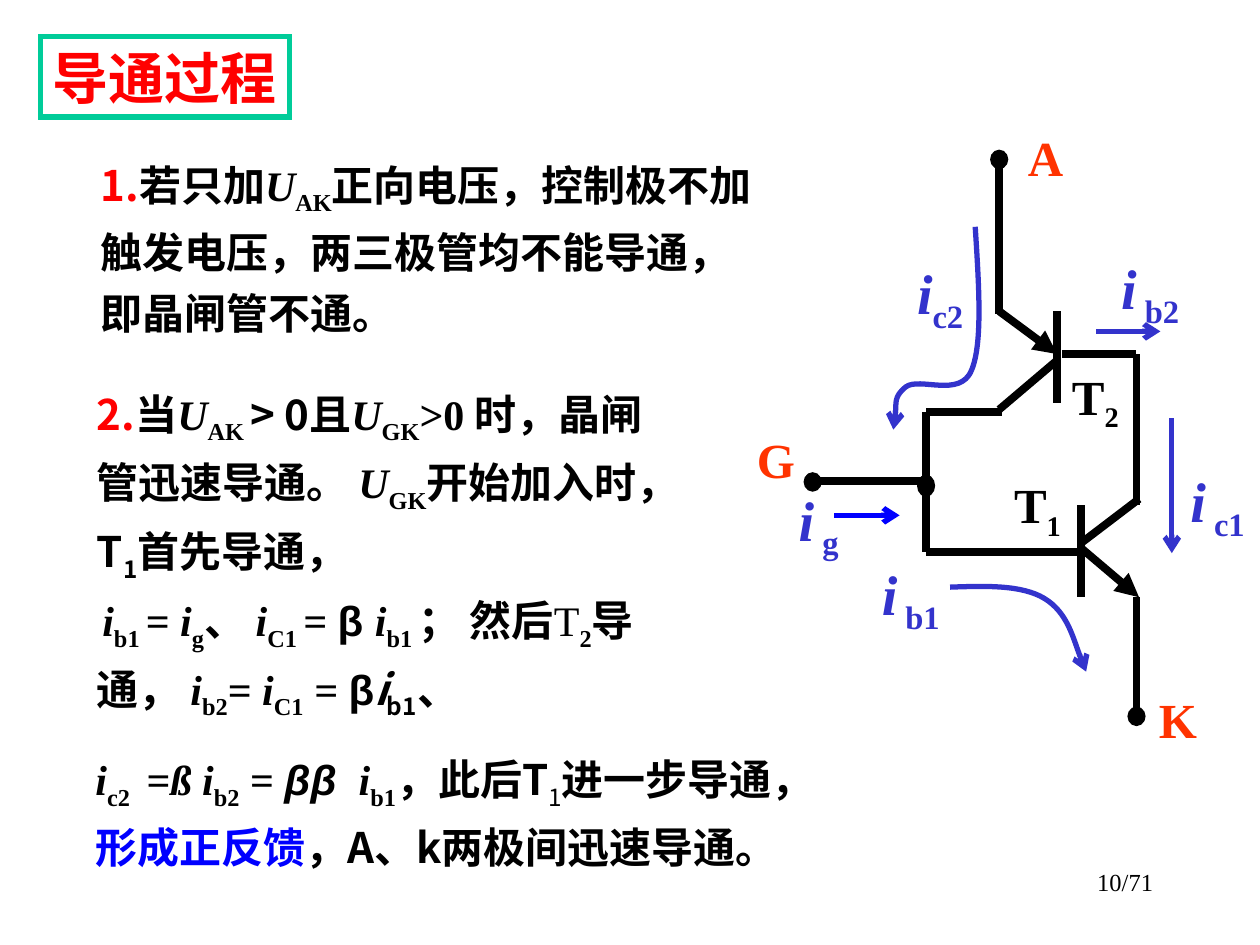
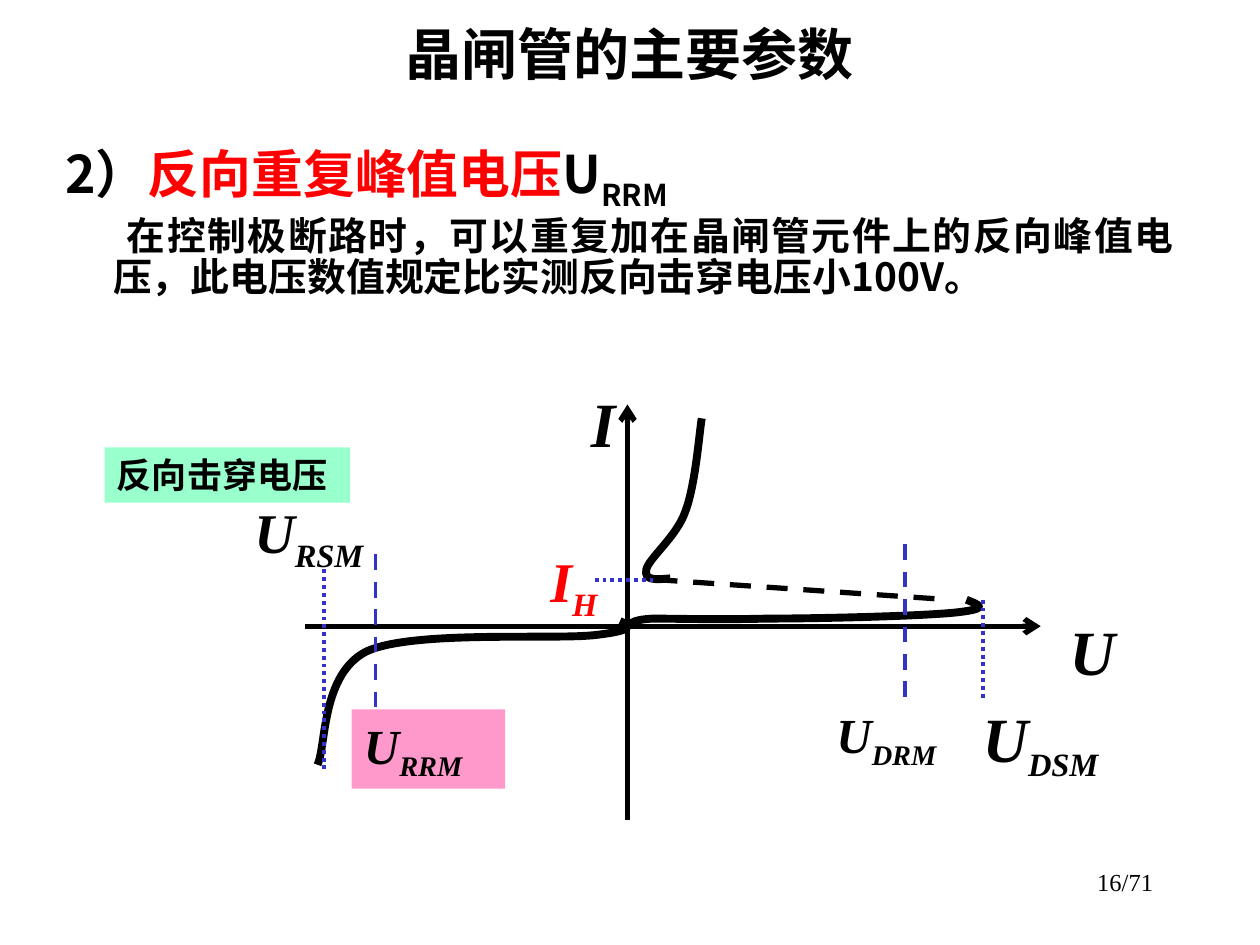
from dataclasses import dataclass, replace

from lxml import etree
from pptx import Presentation
from pptx.dml.color import RGBColor
from pptx.enum.dml import MSO_LINE
from pptx.enum.shapes import MSO_CONNECTOR, MSO_SHAPE
from pptx.enum.text import MSO_ANCHOR, PP_ALIGN
from pptx.oxml.ns import qn
from pptx.util import Inches, Pt

LEFT, CENTER, RIGHT, JUSTIFY = PP_ALIGN.LEFT, PP_ALIGN.CENTER, PP_ALIGN.RIGHT, PP_ALIGN.JUSTIFY
TOP, MIDDLE = MSO_ANCHOR.TOP, MSO_ANCHOR.MIDDLE
DASH, DOT = MSO_LINE.DASH, MSO_LINE.ROUND_DOT
RECT, OVAL, STRAIGHT = MSO_SHAPE.RECTANGLE, MSO_SHAPE.OVAL, MSO_CONNECTOR.STRAIGHT

BLACK = RGBColor(0, 0, 0)
RED = RGBColor(0xFF, 0, 0)
BLUE = RGBColor(0, 0, 0xFF)
ORANGE = RGBColor(0xFF, 0x33, 0)
INDIGO = RGBColor(0x33, 0x33, 0xCC)
GREEN = RGBColor(0, 0xCC, 0x99)
MINT = RGBColor(0x99, 0xFF, 0xCC)
PINK = RGBColor(0xFF, 0x99, 0xCC)

NOTO, TIMES, ARIAL = "Noto Sans CJK SC", "Times New Roman", "Arial"


@dataclass(frozen=True)
class Style:
    font: str = TIMES
    color: RGBColor = BLACK
    bold: bool = True
    italic: bool = False
    sub: bool = False
    size: float = 0  # 0 takes the size of the text box


CN, CN_SUB = Style(NOTO), Style(NOTO, sub=True)
ROMAN, VAR, SUB = Style(), Style(italic=True), Style(sub=True)
VAR_SUB = Style(italic=True, sub=True)
BETA = Style(ARIAL)
NUMBER = Style(NOTO, RED)
TERMINAL = Style(color=ORANGE)
CURRENT, CURRENT_SUB = Style(color=INDIGO, italic=True), Style(color=INDIGO, sub=True)

# Slide 1: turn-on process
STEP_1 = [[("1.", NUMBER), ("若只加", CN), ("U", VAR), ("AK", SUB),
           ("正向电压，控制极不加触发电压，两三极管均不能导通，即晶闸管不通。", CN)]]
STEP_2 = [
    [("2.", NUMBER), ("当", CN), ("U", VAR), ("AK ", SUB), ("> 0且", CN),
     ("U", VAR), ("GK", SUB), (">0 ", ROMAN), ("时，晶闸管迅速导通。 ", CN),
     ("U", VAR), ("GK", SUB), ("开始加入时， T", CN), ("1", CN_SUB), ("首先导通，", CN)],
    [(" ", CN_SUB), ("i", VAR), ("b1 ", SUB), ("= ", ROMAN), ("i", VAR), ("g", SUB),
     ("、 ", ROMAN), ("i", VAR), ("C1 ", SUB), ("= ", VAR), ("β ", BETA),
     ("i", VAR), ("b1 ", SUB), ("； 然后", ROMAN), ("T", Style(bold=False)), ("2", SUB),
     ("导通， ", ROMAN), ("i", VAR), ("b2", SUB), ("= ", ROMAN), ("i", VAR), ("C1", SUB),
     (" = ", VAR), ("β", BETA), ("i", Style(NOTO, italic=True)), ("b1", CN_SUB), ("、", CN)],
]
FEEDBACK = [
    [("i", VAR), ("c2 ", SUB), (" =", ROMAN), ("ß i", VAR), ("b2", SUB), (" = ", ROMAN),
     ("ββ ", Style(ARIAL, italic=True)), (" i", VAR), ("b1", SUB), ("，此后T", CN),
     ("1", Style(NOTO, bold=False, sub=True)), ("进一步导通，", CN)],
    [("形成正反馈", Style(NOTO, BLUE)), ("，A、k两极间迅速导通。", CN)],
]
# paragraphs, box, anchor
STEPS = [
    (STEP_1, (0.7, 1.12, 5.41, 1.61), MIDDLE),
    (STEP_2, (0.67, 2.94, 4.85, 2.83), TOP),
    (FEEDBACK, (0.66, 5.84, 6.0, 1.13), MIDDLE),
]
TERMINALS = [("G", (5.91, 3.36, 0.5, 0.57)), ("K", (9.1, 5.42, 0.5, 0.57)),
             ("A", (8.06, 0.96, 0.48, 0.57))]
TRANSISTORS = [("1", (7.95, 3.72, 0.57, 0.63)), ("2", (8.41, 2.86, 0.57, 0.63))]
CURRENTS = [(" b1", (6.9, 4.39, 0.66, 0.71)), ("c2", (7.18, 2.0, 0.56, 0.71)),
            (" c1", (9.35, 3.65, 0.63, 0.71)), (" g", (6.24, 3.8, 0.51, 0.71)),
            (" b2", (8.8, 1.96, 0.66, 0.71))]
# x, y of both ends
WIRES = [
    (7.95, 3.27, 7.66, 3.27), (8.6, 4.38, 7.35, 4.38), (9.04, 3.96, 8.58, 4.31),
    (8.58, 4.01, 8.58, 4.74), (8.39, 2.47, 8.39, 3.2), (8.39, 2.86, 7.93, 3.25),
    (7.93, 1.24, 7.93, 2.49), (8.43, 2.81, 9.02, 2.81), (9.02, 2.81, 9.02, 4.01),
    (7.85, 3.27, 7.35, 3.27), (7.35, 3.27, 7.35, 4.38), (6.45, 3.82, 7.35, 3.82),
    (9.02, 4.74, 9.02, 5.66),
]
EMITTERS = [(8.58, 4.35, 9.04, 4.74), (7.93, 2.47, 8.39, 2.81)]
NODES = [(7.31, 3.8, 0.08, 0.11), (6.41, 3.78, 0.08, 0.09),
         (7.89, 1.22, 0.08, 0.09), (8.98, 5.64, 0.08, 0.09)]
FLOW_ARROWS = [((9.3, 3.32, 9.3, 4.39), INDIGO), ((6.62, 4.09, 7.14, 4.09), BLUE),
               ((8.7, 2.63, 9.21, 2.63), INDIGO)]
# start point, then two control points and an end point for each Bézier segment
FLOW_CURVES = [
    [(7.54, 4.66), (7.82, 4.65), (8.11, 4.64), (8.29, 4.75),
     (8.47, 4.86), (8.58, 5.25), (8.62, 5.33)],
    [(7.74, 1.8), (7.77, 2.27), (7.8, 2.73), (7.71, 2.94), (7.62, 3.16), (7.3, 2.99),
     (7.19, 3.07), (7.09, 3.15), (7.11, 3.36), (7.09, 3.41)],
]

# Slide 2: main parameters
PARAMETER = [
    [("2）", CN), ("反向重复峰值电压", NUMBER), ("U", CN), ("RRM", CN_SUB)],
    [("在控制极断路时，可以重复加在晶闸管元件上的反向峰值电压，"
      "此电压数值规定比实测反向击穿电压小100V。", Style(NOTO, size=22.2))],
]
CHARACTERISTIC = [
    [(4.92, 4.93), (4.99, 4.96), (5.07, 5.0), (4.73, 5.04), (4.4, 5.08), (3.28, 5.0),
     (2.91, 5.17), (2.55, 5.35), (2.59, 5.92), (2.52, 6.07)],
    [(5.32, 4.59), (5.21, 4.6), (5.11, 4.61), (5.13, 4.52), (5.15, 4.43), (5.37, 4.26),
     (5.44, 4.06), (5.52, 3.85), (5.55, 3.44), (5.57, 3.32)],
    [(7.67, 4.76), (7.77, 4.8), (7.86, 4.83), (7.6, 4.86), (7.34, 4.89), (6.5, 4.91),
     (6.09, 4.91), (5.69, 4.92), (5.36, 4.91), (5.18, 4.91), (4.99, 4.92),
     (5.01, 4.96), (4.98, 4.97)],
]
SWITCHING = (5.21, 4.6, 7.54, 4.76)
AXES = [(4.98, 6.51, 4.98, 3.21), (2.42, 4.97, 8.26, 4.97)]
GUIDES = [
    ((4.72, 4.6, 5.18, 4.6), DOT), ((7.8, 4.76, 7.8, 5.55), DOT),
    ((2.57, 4.52, 2.57, 6.1), DOT), ((7.18, 4.32, 7.18, 5.57), DASH),
    ((2.98, 4.4, 2.98, 5.65), DASH),
]
RED_VAR = replace(VAR, color=RED)
# runs, box, size
GRAPH_LABELS = [
    ([("U", VAR)], (8.39, 4.81, 0.53, 0.7), 36),
    ([("I", VAR)], (4.59, 3.0, 0.39, 0.7), 36),
    ([("I", RED_VAR), ("H", replace(RED_VAR, sub=True))], (4.27, 4.29, 0.57, 0.71), 32),
    ([("U", VAR), ("DSM", replace(VAR_SUB, size=32))], (7.7, 5.5, 1.11, 0.77), 36),
    ([("U", VAR), ("RSM", VAR_SUB)], (1.92, 3.9, 1.06, 0.71), 32),
    ([("U", VAR), ("DRM", VAR_SUB)], (6.54, 5.54, 0.99, 0.63), 28),
]
# runs, box, size, fill
GRAPH_BOXES = [
    ([("反向击穿电压", ROMAN)], (0.83, 3.55, 1.95, 0.44), 20, MINT),
    ([("U", VAR), ("RRM", VAR_SUB)], (2.79, 5.63, 1.22, 0.63), 28, PINK),
]


def inches(values):
    return [Inches(v) for v in values]


def fill_text(sp, paragraphs, size, align=LEFT, anchor=TOP, wrap=True, spacing=None):
    tf = sp.text_frame
    tf.word_wrap, tf.vertical_anchor = wrap, anchor
    for i, runs in enumerate(paragraphs):
        p = tf.add_paragraph() if i else tf.paragraphs[0]
        p.alignment = align
        p._p.get_or_add_pPr().set("hangingPunct", "0")
        if spacing:
            p.line_spacing = spacing
        for text, style in runs:
            r = p.add_run()
            r.text = text
            r.font.name, r.font.size = style.font, Pt(style.size or size)
            r.font.bold, r.font.italic = style.bold, style.italic
            r.font.color.rgb = style.color
            rPr = r._r.get_or_add_rPr()
            etree.SubElement(rPr, qn("a:ea"), typeface=NOTO)
            if style.sub:
                rPr.set("baseline", "-25000")
    return tf


def add_text(slide, paragraphs, box, size, **layout):
    return fill_text(slide.shapes.add_textbox(*inches(box)), paragraphs, size, **layout)


def add_label(slide, runs, box, size):
    """Add a one-line label; no right margin, so the subscript stays beside its symbol."""
    add_text(slide, [runs], box, size, wrap=False).margin_right = 0


def add_shape(slide, kind, box, fill=None, line=None, width=0):
    sp = slide.shapes.add_shape(kind, *inches(box))
    sp.shadow.inherit = False
    if fill is None:
        sp.fill.background()
    else:
        sp.fill.solid()
        sp.fill.fore_color.rgb = fill
    if line is None:
        sp.line.fill.background()
    else:
        sp.line.color.rgb, sp.line.width = line, Pt(width)
        etree.SubElement(sp._element.spPr.find(qn("a:ln")), qn("a:miter"), lim="800000")
    return sp


def style_line(sp, color, width, dash=None, arrow=None):
    sp.line.color.rgb, sp.line.width = color, Pt(width)
    if dash:
        sp.line.dash_style = dash
    if arrow:
        etree.SubElement(sp._element.spPr.find(qn("a:ln")), qn("a:tailEnd"), type=arrow)


def add_line(slide, ends, color=BLACK, width=4.5, **look):
    sp = slide.shapes.add_connector(STRAIGHT, *inches(ends))
    style_line(sp, color, width, **look)
    etree.SubElement(sp._element.spPr, qn("a:effectLst"))


def add_curve(slide, points, color=BLACK, width=4.5, **look):
    """Lay out the points as a freeform, then turn each three into a Bézier segment."""
    start, *rest = [inches(pt) for pt in points]
    builder = slide.shapes.build_freeform(*start)
    builder.add_line_segments(rest, close=False)
    sp = builder.convert_to_shape()
    outline = next(sp._element.iter(qn("a:path")))
    segments = outline.findall(qn("a:lnTo"))
    for i in range(0, len(segments), 3):
        bezier = etree.SubElement(outline, qn("a:cubicBezTo"))
        for segment in segments[i:i + 3]:
            bezier.append(segment[0])
            outline.remove(segment)
    sp.fill.background()
    sp.shadow.inherit = False
    style_line(sp, color, width, **look)


def new_slide(prs, number):
    slide = prs.slides.add_slide(prs.slide_layouts[6])
    add_text(slide, [[(f"{number}/71", Style(bold=False))]],
             (7.17, 6.83, 2.08, 0.5), 14, align=RIGHT)
    return slide


def build_turn_on(prs):
    slide = new_slide(prs, 10)
    title = add_shape(slide, RECT, (0.32, 0.29, 1.98, 0.64), line=GREEN, width=3)
    fill_text(title, [[("导通过程", Style(color=RED))]], 32, CENTER, MIDDLE, wrap=False)
    for paragraphs, box, anchor in STEPS:
        add_text(slide, paragraphs, box, 24, anchor=anchor, spacing=1.2)
    for ends in WIRES:
        add_line(slide, ends)
    for ends in EMITTERS:
        add_line(slide, ends, arrow="triangle")
    for box in NODES:
        add_shape(slide, OVAL, box, BLACK, BLACK, 4.5)
    for points in FLOW_CURVES:
        add_curve(slide, points, INDIGO, 3, arrow="arrow")
    for ends, color in FLOW_ARROWS:
        add_line(slide, ends, color, 3, arrow="arrow")
    for name, box in TERMINALS:
        add_label(slide, [(name, TERMINAL)], box, 28)
    for index, box in TRANSISTORS:
        add_label(slide, [("T", ROMAN), (index, SUB)], box, 28)
    for index, box in CURRENTS:
        add_label(slide, [("i", CURRENT), (index, CURRENT_SUB)], box, 32)


def build_parameters(prs):
    slide = new_slide(prs, 16)
    add_text(slide, [[("晶闸管的主要参数", Style(ARIAL))]], (0.75, 0.17, 8.5, 0.5), 32,
             align=CENTER, anchor=MIDDLE)
    tf = add_text(slide, PARAMETER, (0.42, 1.08, 9, 1.58), 29.6, align=JUSTIFY, spacing=0.9)
    for p, indent in zip(tf.paragraphs, (-0.38, 0.11)):
        pPr = p._p.get_or_add_pPr()
        pPr.set("marL", str(Inches(0.38)))
        pPr.set("indent", str(Inches(indent)))
    tf.paragraphs[1].space_before = Pt(6)
    for points in CHARACTERISTIC:
        add_curve(slide, points)
    add_line(slide, SWITCHING, width=3, dash=DASH)
    for ends in AXES:
        add_line(slide, ends, width=3, arrow="arrow")
    for ends, dash in GUIDES:
        add_line(slide, ends, INDIGO, 2.25, dash=dash)
    for runs, box, size, fill in GRAPH_BOXES:
        fill_text(add_shape(slide, RECT, box, fill), [runs], size)
    for runs, box, size in GRAPH_LABELS:
        add_label(slide, runs, box, size)


def main():
    prs = Presentation()
    prs.slide_width, prs.slide_height = Inches(10), Inches(7.5)
    build_turn_on(prs)
    build_parameters(prs)
    prs.save("out.pptx")


if __name__ == "__main__":
    main()
